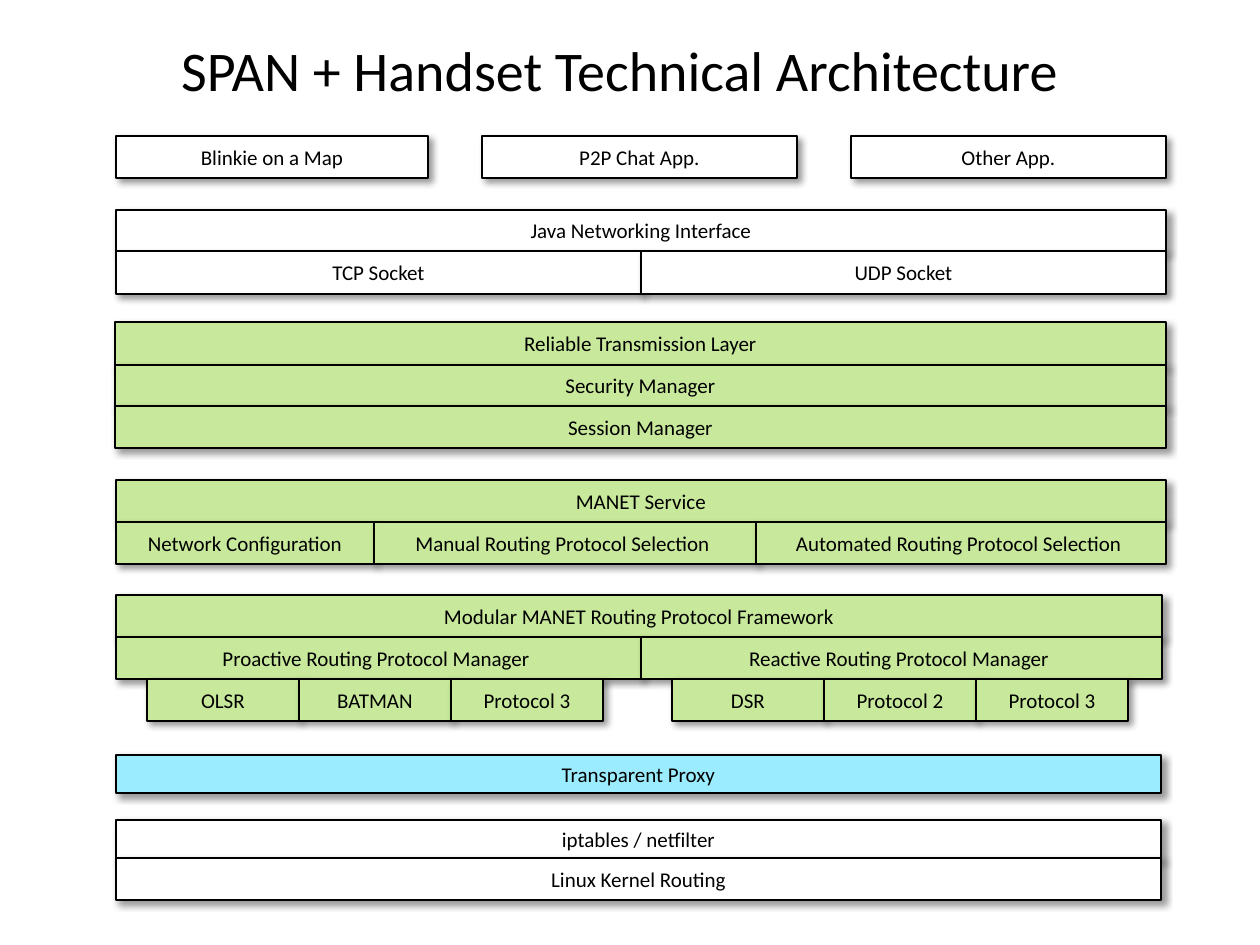
import pptx
import pptx.util
import pptx.dml.color
import pptx.enum.shapes
import pptx.enum.text
import pptx.oxml
import pptx.oxml.ns

PX = 914400 // 126
WHITE, GREEN, BLUE, BLACK = "FFFFFF", "C8E99B", "9BECFF", "000000"
LEFT, ROW = 116, 42
SHADOW = (
    f'<a:effectLst {pptx.oxml.ns.nsdecls("a")}>'
    '<a:outerShdw blurRad="50800" dist="38100" dir="2700000" algn="tl" rotWithShape="0">'
    '<a:srgbClr val="000000"><a:alpha val="40000"/></a:srgbClr>'
    '</a:outerShdw></a:effectLst>'
)


def px(length):
    return pptx.util.Emu(round(length * PX))


def color(value):
    return pptx.dml.color.RGBColor.from_string(value)


def write(shape, text, size):
    frame = shape.text_frame
    settings = {
        "word_wrap": True,
        "auto_size": pptx.enum.text.MSO_AUTO_SIZE.NONE,
        "vertical_anchor": pptx.enum.text.MSO_ANCHOR.MIDDLE,
        "margin_left": 0, "margin_right": 0, "margin_top": 0, "margin_bottom": 0,
    }
    for name, value in settings.items():
        setattr(frame, name, value)
    para = frame.paragraphs[0]
    para.alignment = pptx.enum.text.PP_ALIGN.CENTER
    span = para.add_run()
    span.text = text
    for name, value in {"name": "Calibri", "size": pptx.util.Pt(size)}.items():
        setattr(span.font, name, value)
    span.font.color.rgb = color(BLACK)


def add_title(page, left, top, width, height, text):
    title = page.shapes.title
    places = {"left": left, "top": top, "width": width, "height": height}
    for name, value in places.items():
        setattr(title, name, px(value))
    write(title, text, 32)


def add_block(page, left, top, width, height, text, fill):
    box = page.shapes.add_shape(
        pptx.enum.shapes.MSO_SHAPE.RECTANGLE, px(left), px(top), px(width), px(height))
    box.fill.solid()
    box.fill.fore_color.rgb = color(fill)
    box.line.color.rgb = color(BLACK)
    box.line.width = pptx.util.Pt(1)
    box.shadow.inherit = False
    properties = box.fill._xPr
    properties.remove(properties.find(pptx.oxml.ns.qn("a:effectLst")))
    properties.append(pptx.oxml.parse_xml(SHADOW))
    write(box, text, 12)


def add_row(page, left, top, height, blocks, fill, gap=0):
    """Place (label, width) blocks side by side."""
    for text, width in blocks:
        add_block(page, left, top, width, height, text, fill)
        left += width + gap


def add_layer(page, left, top, rows, fill):
    """Stack rows of (height, blocks) without gaps; return the bottom edge."""
    for height, blocks in rows:
        add_row(page, left, top, height, blocks, fill)
        top += height
    return top


def add_framework(page, left, top):
    bottom = add_layer(page, left, top, [
        (ROW, [("Modular MANET Routing Protocol Framework", 1046)]),
        (ROW, [("Proactive Routing Protocol Manager ", 525),
               ("Reactive Routing Protocol Manager ", 521)]),
    ], GREEN)
    # Protocols hanging below each manager
    for offset, labels in ((31, ("OLSR", "BATMAN", "Protocol 3")),
                           (556, ("DSR", "Protocol 2", "Protocol 3"))):
        blocks = [(label, 152) for label in labels]
        add_row(page, left + offset, bottom, ROW, blocks, GREEN)


def main():
    deck = pptx.Presentation()
    deck.slide_width, deck.slide_height = px(1260), px(945)
    page = deck.slides.add_slide(deck.slide_layouts[5])
    add_title(page, 53, 33, 1134, 73, "SPAN + Handset Technical Architecture")

    # Applications
    add_row(page, LEFT, 136, ROW, [
        ("Blinkie on a Map", 312), ("P2P Chat App.", 315), ("Other App.", 315),
    ], WHITE, gap=54)

    # Network interface
    add_layer(page, LEFT, 210, [
        (41, [("Java Networking Interface", 1050)]),
        (43, [("TCP Socket", 525), ("UDP Socket", 525)]),
    ], WHITE)

    # Transmission, security and sessions
    add_layer(page, LEFT - 1, 322, [
        (43, [("Reliable Transmission Layer", 1051)]),
        (41, [("Security Manager", 1051)]),
        (ROW, [("Session Manager", 1051)]),
    ], GREEN)

    # Service and its settings
    add_layer(page, LEFT, 480, [
        (ROW, [("MANET Service", 1050)]),
        (ROW, [("Network Configuration", 258),
               ("Manual Routing Protocol Selection ", 382),
               ("Automated Routing Protocol Selection ", 410)]),
    ], GREEN)

    add_framework(page, LEFT, 595)

    # Proxy and kernel
    add_layer(page, LEFT, 755, [(38, [("Transparent Proxy", 1045)])], BLUE)
    add_layer(page, LEFT, 820, [
        (38, [("iptables / netfilter", 1045)]),
        (ROW, [("Linux Kernel Routing", 1045)]),
    ], WHITE)

    deck.save("out.pptx")


if __name__ == "__main__":
    main()
